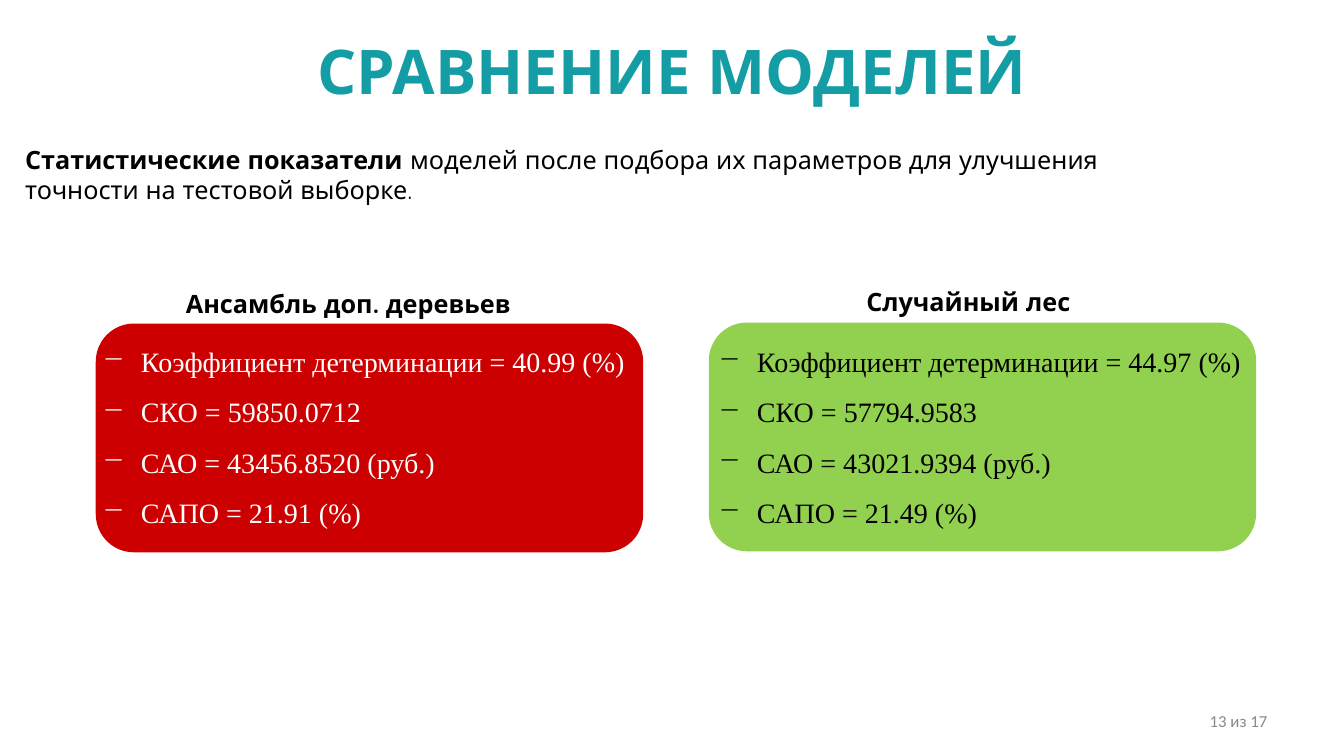
import pptx
import pptx.dml.color
import pptx.enum.shapes
import pptx.enum.text
import pptx.util
from lxml import etree
from pptx.util import Inches

COLORS = {
    "teal": "149DA4", "red": "CC0000", "green": "92D050",
    "white": "FFFFFF", "black": "000000", "gray": "898989",
}
ALIGN = pptx.enum.text.PP_ALIGN
ANCHOR = pptx.enum.text.MSO_ANCHOR

deck = pptx.Presentation()
deck.slide_width, deck.slide_height = Inches(13.33), Inches(7.5)
slide = deck.slides.add_slide(deck.slide_layouts[6])


def add_text(paragraphs, box, size=18, font="Quicksand", color="black",
             align=ALIGN.LEFT, anchor=ANCHOR.TOP, spacing=None, bullet=None):
    """Each paragraph is a list of (text, bold) runs."""
    frame = slide.shapes.add_textbox(*map(Inches, box)).text_frame
    frame.word_wrap = True
    frame.vertical_anchor = anchor
    for index, runs in enumerate(paragraphs):
        paragraph = frame.add_paragraph() if index else frame.paragraphs[0]
        paragraph.alignment = align
        paragraph.line_spacing = spacing
        for text, bold in runs:
            run = paragraph.add_run()
            run.text = text
            run.font.name = font
            run.font.size = pptx.util.Pt(size)
            run.font.bold = bold
            run.font.color.rgb = pptx.dml.color.RGBColor.from_string(COLORS[color])
        if bullet:
            properties = paragraph._p.get_or_add_pPr()
            properties.set("marL", str(Inches(0.38)))
            properties.set("indent", str(-Inches(0.38)))
            mark = etree.SubElement(properties, pptx.oxml.ns.qn("a:buChar"))
            mark.set("char", bullet)
    return frame


# Title and introduction
add_text([[("СРАВНЕНИЕ МОДЕЛЕЙ", True)]], (0.67, 0.07, 12, 1.25), size=44,
         color="teal", align=ALIGN.CENTER, anchor=ANCHOR.MIDDLE)
add_text([[("Статистические показатели ", True),
           ("моделей после подбора их параметров для улучшения "
            "точности на тестовой выборке.", False)]], (0.15, 1.38, 11.78, 0.71))

# Model cards: heading, heading position, card position, metrics left and width
models = [
    ("Ансамбль доп. деревьев", (1.25, 2.81), (0.95, 3.21), (0.92, 5.46),
     "red", "white", ("40.99", "59850.0712", "43456.8520", "21.91")),
    ("Случайный лес", (7.4, 2.79), (7.03, 3.2), (7.03, 5.43),
     "green", "black", ("44.97", "57794.9583", "43021.9394", "21.49")),
]
metrics = ("Коэффициент детерминации = {} (%)", "СКО = {}",
           "САО = {} (руб.)", "САПО = {} (%)")

for heading, heading_at, card_at, (left, width), fill, ink, values in models:
    card = slide.shapes.add_shape(
        pptx.enum.shapes.MSO_SHAPE.ROUNDED_RECTANGLE,
        *map(Inches, (*card_at, 5.43, 2.27)))
    card.shadow.inherit = False
    card.fill.solid()
    card.fill.fore_color.rgb = pptx.dml.color.RGBColor.from_string(COLORS[fill])
    card.line.fill.background()

    add_text([[(heading, True)]], (*heading_at, 4.41, 0.4), align=ALIGN.CENTER)
    lines = [[(metric.format(value), False)] for metric, value in zip(metrics, values)]
    results = add_text(lines, (left, 3.2, width, 2.07), size=20,
                       font="Times New Roman", color=ink, align=ALIGN.JUSTIFY,
                       spacing=1.5, bullet="─")
    results.paragraphs[-1].space_after = pptx.util.Pt(8)

# Page number
add_text([[("13 из 17", False)]], (9.56, 6.95, 3.11, 0.4), size=12, font="Calibri",
         color="gray", align=ALIGN.RIGHT, anchor=ANCHOR.MIDDLE)

deck.save("out.pptx")
